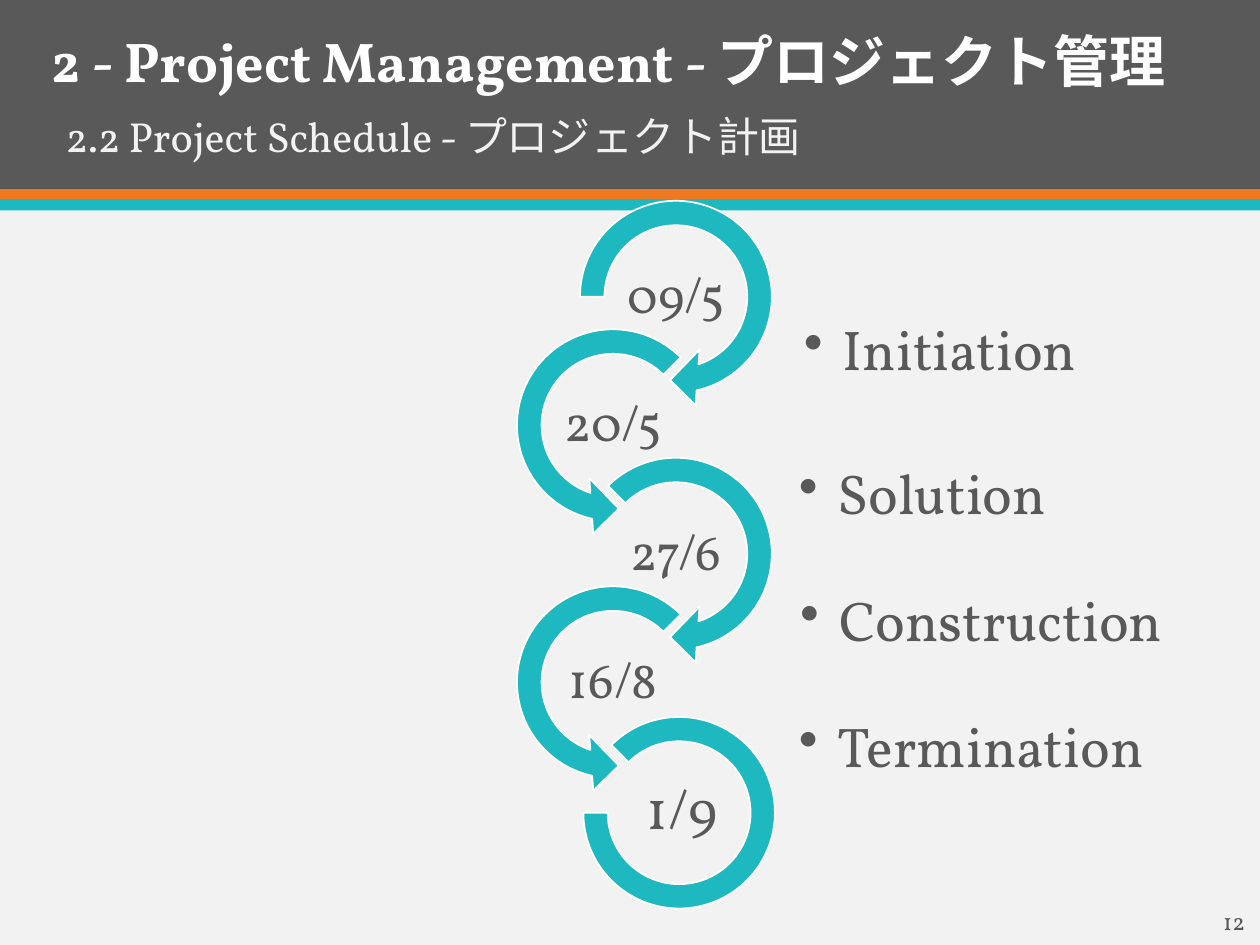
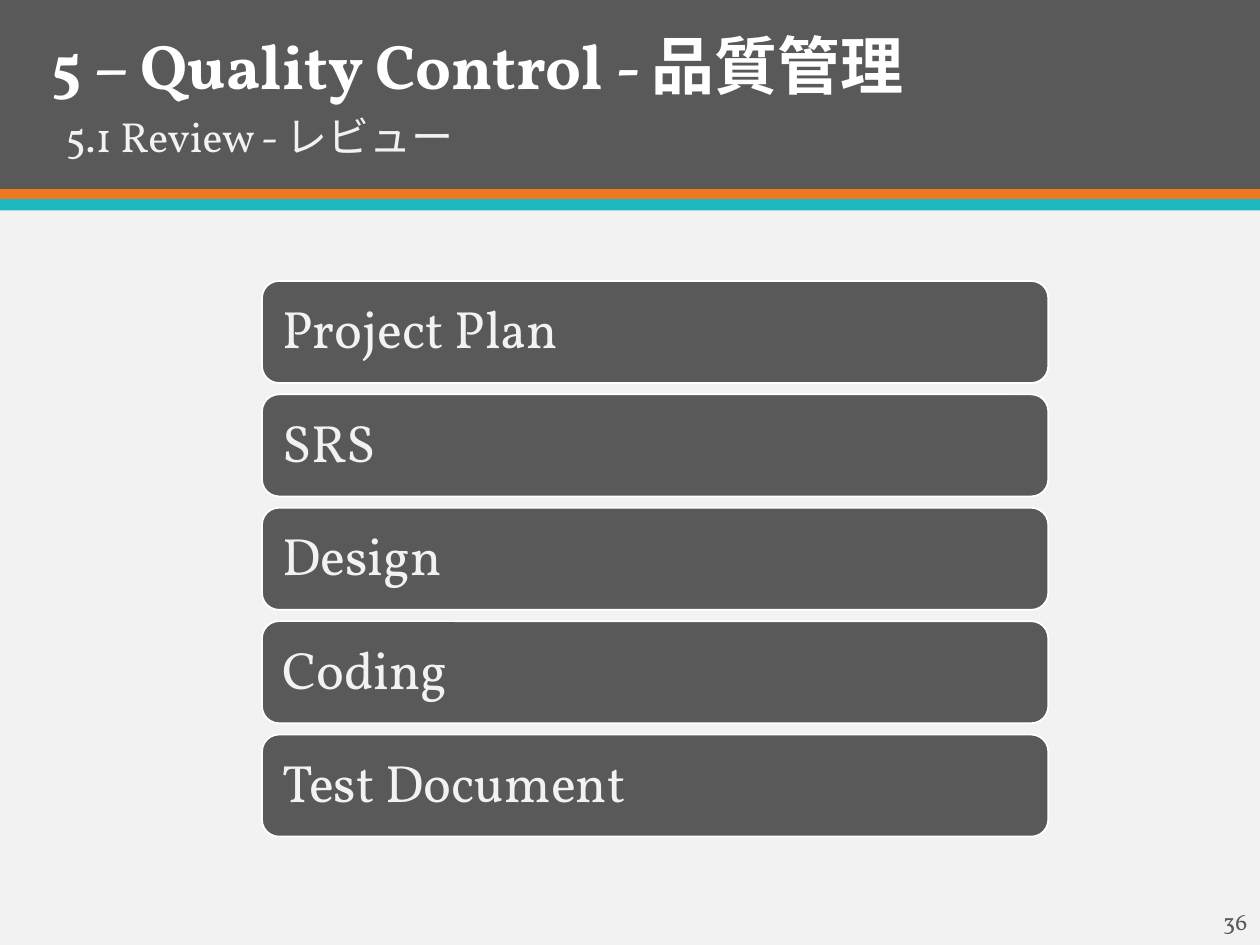
from lxml import etree
from pptx import Presentation
from pptx.dml.color import RGBColor
from pptx.enum.shapes import MSO_SHAPE
from pptx.enum.text import MSO_ANCHOR, MSO_AUTO_SIZE, PP_ALIGN
from pptx.oxml.ns import qn
from pptx.util import Inches, Pt

CENTER, LEFT = PP_ALIGN.CENTER, PP_ALIGN.LEFT
MIDDLE, TOP = MSO_ANCHOR.MIDDLE, MSO_ANCHOR.TOP
NO_AUTOSIZE = MSO_AUTO_SIZE.NONE
RECTANGLE, ROUNDED = MSO_SHAPE.RECTANGLE, MSO_SHAPE.ROUNDED_RECTANGLE
RIGHT_LOOP, LEFT_LOOP = MSO_SHAPE.CIRCULAR_ARROW, MSO_SHAPE.LEFT_CIRCULAR_ARROW
END_ARC = MSO_SHAPE.BLOCK_ARC

FONT = "Vollkorn"
GRAY = RGBColor(0x59, 0x59, 0x59)
ORANGE = RGBColor(0xEF, 0x79, 0x20)
TEAL = RGBColor(0x1E, 0xB8, 0xC1)
PALE = RGBColor(0xF2, 0xF2, 0xF2)
WHITE = RGBColor(0xFF, 0xFF, 0xFF)

BANDS = [(0, 1.5, GRAY), (1.5, 0.09, ORANGE), (1.58, 0.09, TEAL)]

SCHEDULE = {
    "title": "2 - Project Management - プロジェクト管理",
    "title_size": 32,
    "subtitle": "2.2\tProject Schedule - プロジェクト計画",
    "number": "12",
}
DATES = ["09/5", "20/5", "27/6", "16/8"]
END_DATE = "1/9"
PHASES = [
    ("Initiation", 6.36, 2.45),
    ("Solution", 6.32, 3.59),
    ("Construction", 6.33, 4.6),
    ("Termination", 6.32, 5.6),
]
LOOP_ANGLES = [(45, 108), (63, 189), (45, 135), (63, 189)]

REVIEW = {
    "title": "5 – Quality Control - 品質管理",
    "title_size": 36,
    "subtitle": "5.1 Review - レビュー",
    "number": "36",
}
REVIEWED = ["Project Plan", "SRS", "Design", "Coding", "Test Document"]

LOOP_SIZE, LOOP_TOP, LOOP_STEP = 1.77, 1.47, 1.02
LOOP_LEFTS = (4.48, 3.98)
BAR_TOP, BAR_STEP = 2.23, 0.9


def inches(*lengths):
    return [Inches(length) for length in lengths]


def write(box, text, size, color, align=LEFT, anchor=TOP, bold=False,
          spacing=1.0, insets=(0.1, 0.05), bullet=None, indent=0, tab=None):
    frame = box.text_frame
    frame.auto_size = NO_AUTOSIZE
    frame.word_wrap = True
    frame.vertical_anchor = anchor
    frame.margin_left = frame.margin_right = Inches(insets[0])
    frame.margin_top = frame.margin_bottom = Inches(insets[1])
    frame.text = text
    para = frame.paragraphs[0]
    para.alignment = align
    para.line_spacing = spacing
    para.space_before = Pt(0)
    properties = para._p.get_or_add_pPr()
    properties.set("marL", str(Inches(indent)))
    properties.set("indent", str(-Inches(indent)))
    if bullet:
        etree.SubElement(properties, qn("a:buChar"), char=bullet)
    else:
        etree.SubElement(properties, qn("a:buNone"))
    if tab:
        stops = etree.SubElement(properties, qn("a:tabLst"))
        etree.SubElement(stops, qn("a:tab"), pos=str(Inches(tab)), algn="l")
    para.font.name = FONT
    para.font.size = Pt(size)
    para.font.bold = bold
    para.font.color.rgb = color


def add_text(page, place, text, size, color, **style):
    write(page.shapes.add_textbox(*inches(*place)), text, size, color, **style)


def add_filled(page, preset, place, fill, line=None, adjustments=()):
    shape = page.shapes.add_shape(preset, *inches(*place))
    shape.shadow.inherit = False
    shape.fill.solid()
    shape.fill.fore_color.rgb = fill
    if line is None:
        shape.line.fill.background()
    else:
        shape.line.color.rgb = line
        shape.line.width = Pt(1)
    for index, value in enumerate(adjustments):
        shape.adjustments[index] = value
    return shape


def set_up_template(deck, layout, page):
    background = deck.slide_master.background.fill
    background.solid()
    background.fore_color.rgb = PALE
    for index, (top, height, color) in enumerate(BANDS):
        band = add_filled(page, RECTANGLE, (0, top, 10, height), color)
        band._element.nvSpPr.cNvPr.set("id", str(100 + index))
        layout.shapes._spTree.insert(2 + index, band._element)


def place_placeholder(holder, place):
    holder.left, holder.top, holder.width, holder.height = inches(*place)


def add_headings(page, content):
    title, subtitle = page.shapes.title, page.placeholders[1]
    place_placeholder(title, (0.31, 0.16, 9.69, 0.71))
    write(title, content["title"], content["title_size"], WHITE, bold=True)
    place_placeholder(subtitle, (0.42, 0.87, 9.58, 0.52))
    write(subtitle, content["subtitle"], 24, PALE, spacing=0.9, tab=0.65)
    add_text(page, (9.61, 7.15, 0.39, 0.3), content["number"], 13.5, GRAY,
             insets=(0.1, 0.05))


def add_date(page, left, top, text, size):
    add_text(page, (left, top, 0.99, 0.49), text, size, GRAY, align=CENTER,
             anchor=MIDDLE, spacing=0.9, insets=(0.02, 0.02))


def build_schedule(page):
    for index, (date, angles) in enumerate(zip(DATES, LOOP_ANGLES)):
        left = LOOP_LEFTS[index % 2]
        top = LOOP_TOP + index * LOOP_STEP
        preset = LEFT_LOOP if index % 2 else RIGHT_LOOP
        add_filled(page, preset, (left, top, LOOP_SIZE, LOOP_SIZE), TEAL, WHITE,
                   (0.11, 11.42, *angles, 0.125))
        add_date(page, left + 0.39, top + 0.64, date, 29)
    add_filled(page, END_ARC, (4.63, 5.69, 1.52, 1.52), TEAL, WHITE,
               (135, 108, 0.127))
    add_date(page, 4.92, 6.19, END_DATE, 32)
    for phase, left, top in PHASES:
        add_text(page, (left, top, 3.18, 0.7), phase, 32, GRAY, anchor=MIDDLE,
                 spacing=0.9, insets=(0.02, 0.02), bullet="•", indent=0.31)


def build_review(page):
    for index, item in enumerate(REVIEWED):
        bar = add_filled(page, ROUNDED,
                         (2.08, BAR_TOP + index * BAR_STEP, 6.24, 0.81),
                         GRAY, WHITE)
        write(bar, item, 30, PALE, anchor=MIDDLE, spacing=0.9,
              insets=(0.12, 0.12))


def main():
    deck = Presentation()
    deck.slide_width, deck.slide_height = inches(10, 7.5)
    layout = deck.slide_layouts[1]
    schedule, review = [deck.slides.add_slide(layout) for _ in range(2)]
    set_up_template(deck, layout, schedule)
    add_headings(schedule, SCHEDULE)
    build_schedule(schedule)
    add_headings(review, REVIEW)
    build_review(review)
    deck.save("out.pptx")


if __name__ == "__main__":
    main()
